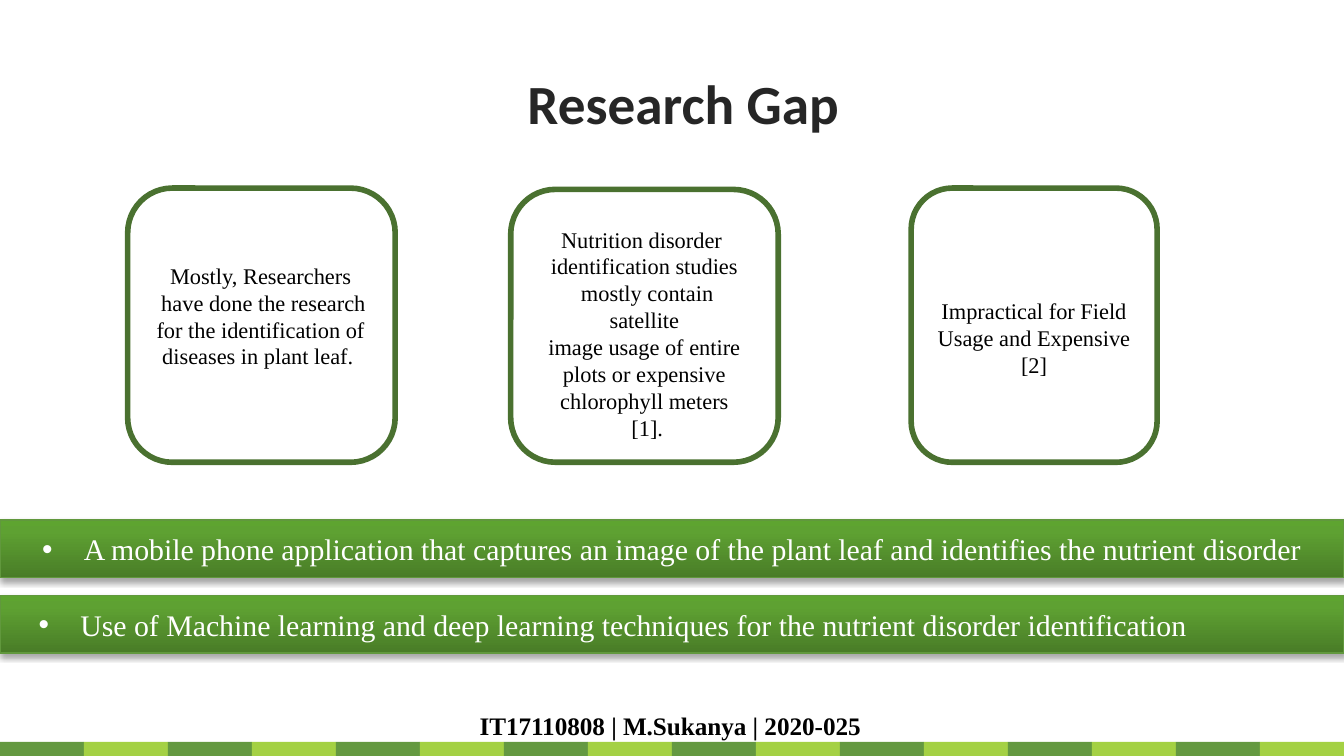
from lxml import etree
from pptx import Presentation
from pptx.dml.color import RGBColor
from pptx.enum.shapes import MSO_SHAPE
from pptx.enum.text import MSO_ANCHOR, PP_ALIGN
from pptx.oxml.ns import qn
from pptx.util import Inches, Pt

LEFT, CENTER = PP_ALIGN.LEFT, PP_ALIGN.CENTER
TOP, MIDDLE = MSO_ANCHOR.TOP, MSO_ANCHOR.MIDDLE
RECTANGLE, ROUNDED = MSO_SHAPE.RECTANGLE, MSO_SHAPE.ROUNDED_RECTANGLE

COLORS = {
    "white": "FFFFFF", "black": "000000", "title": "262626",
    "outline": "4A7130", "bar_line": "61983D",
    "strip_dark": "649941", "strip_light": "A4D144",
}
BAR_GRADIENT = [(0, "497C27"), (80, "5EA132"), (100, "5EA430")]

TITLE = "Research Gap"
FOOTER = "IT17110808 | M.Sukanya | 2020-025"
CARDS = [
    {"frame": (0.95, 1.4, 1.99, 2.04), "text_box": (1.05, 1.9, 1.78, 0.91),
     "lines": ["Mostly, Researchers", " have done the research ",
               "for the identification of diseases in plant leaf. "]},
    {"frame": (3.8, 1.41, 1.99, 2.03), "text_box": (3.95, 1.63, 1.69, 1.72),
     "lines": ["Nutrition disorder ", "identification studies", " mostly contain",
               " satellite ", "image usage of entire", " plots or expensive ",
               "chlorophyll meters", " [1]."]},
    {"frame": (6.78, 1.4, 1.83, 2.04), "text_box": (6.83, 2.16, 1.73, 0.71),
     "lines": ["Impractical for Field Usage and Expensive [2]"]},
]
BARS = [
    ("A mobile phone application that captures an image of the plant leaf "
     "and identifies the nutrient disorder", CENTER, 0.31),
    ("Use of Machine learning and deep learning techniques for the nutrient "
     "disorder identification", LEFT, 0.5),
]
BAR_TOP, BAR_STEP, BAR_HEIGHT, BULLET_HANG = 3.87, 0.56, 0.43, 0.31
STRIP_COUNT, STRIP_TOP, STRIP_HEIGHT = 16, 5.52, 0.11
SLIDE_WIDTH = 10
SLIDE_HEIGHT = SLIDE_WIDTH * 9 / 16


def color(name):
    return RGBColor.from_string(COLORS[name])


def add_child(parent, tag, **attributes):
    values = {key: str(value) for key, value in attributes.items()}
    return etree.SubElement(parent, qn(tag), values)


def write_text(shape, lines, size=12, font="Times New Roman", ink="black",
               bold=False, align=CENTER, anchor=TOP, bullet_margin=None):
    frame = shape.text_frame
    frame.word_wrap = True
    frame.vertical_anchor = anchor
    for index, line in enumerate(lines):
        paragraph = frame.paragraphs[0] if index == 0 else frame.add_paragraph()
        paragraph.alignment = align
        if bullet_margin is not None:
            properties = paragraph._p.get_or_add_pPr()
            properties.set("marL", str(Inches(bullet_margin)))
            properties.set("indent", str(-Inches(BULLET_HANG)))
            add_child(properties, "a:buFont", typeface="Arial")
            add_child(properties, "a:buChar", char="•")
        run = paragraph.add_run()
        run.text = line
        run.font.size = Pt(size)
        run.font.name = font
        run.font.bold = bold
        run.font.color.rgb = color(ink)


def add_text_box(slide, box, lines, **text_format):
    shape = slide.shapes.add_textbox(*map(Inches, box))
    write_text(shape, lines, **text_format)


def add_block(slide, kind, box, fill=None, line=None, line_width=0.75):
    shape = slide.shapes.add_shape(kind, *map(Inches, box))
    shape.shadow.inherit = False
    if fill:
        shape.fill.solid()
        shape.fill.fore_color.rgb = color(fill)
    if line:
        shape.line.color.rgb = color(line)
        shape.line.width = Pt(line_width)
    else:
        shape.line.fill.background()
    return shape


def style_bar(shape):
    shape.fill.gradient()
    shape.fill.gradient_angle = 90
    properties = shape._element.spPr
    stops = properties.find(".//" + qn("a:gsLst"))
    for stop in list(stops):
        stops.remove(stop)
    for position, value in BAR_GRADIENT:
        stop = add_child(stops, "a:gs", pos=position * 1000)
        add_child(stop, "a:srgbClr", val=value)
    shadow = add_child(properties.find(qn("a:effectLst")), "a:outerShdw",
                       blurRad=Pt(3.1), dist=Pt(1.8), dir=90 * 60000, rotWithShape=0)
    shade = add_child(shadow, "a:srgbClr", val=COLORS["black"])
    add_child(shade, "a:alpha", val=35000)


def main():
    presentation = Presentation()
    presentation.slide_width = Inches(SLIDE_WIDTH)
    presentation.slide_height = Inches(SLIDE_HEIGHT)
    slide = presentation.slides.add_slide(presentation.slide_layouts[6])

    strip_width = SLIDE_WIDTH / STRIP_COUNT
    for index in range(STRIP_COUNT):
        fill = "strip_light" if index % 2 else "strip_dark"
        add_block(slide, RECTANGLE,
                  (index * strip_width, STRIP_TOP, strip_width, STRIP_HEIGHT), fill)

    add_text_box(slide, (0.34, 0.47, 9.49, 0.59), [TITLE], size=29.6,
                 font="Calibri", ink="title", bold=True, anchor=MIDDLE)

    for card in CARDS:
        add_block(slide, ROUNDED, card["frame"], "white", "outline", 3)
        add_text_box(slide, card["text_box"], card["lines"])

    add_text_box(slide, (3.47, 5.24, 3.24, 0.33), [FOOTER], size=13.5,
                 bold=True, align=LEFT)

    for index, (text, align, margin) in enumerate(BARS):
        top = BAR_TOP + index * BAR_STEP
        bar = add_block(slide, RECTANGLE, (0, top, SLIDE_WIDTH, BAR_HEIGHT),
                        line="bar_line")
        style_bar(bar)
        write_text(bar, [text], size=16, ink="white", align=align,
                   anchor=MIDDLE, bullet_margin=margin)

    presentation.save("out.pptx")


if __name__ == "__main__":
    main()
